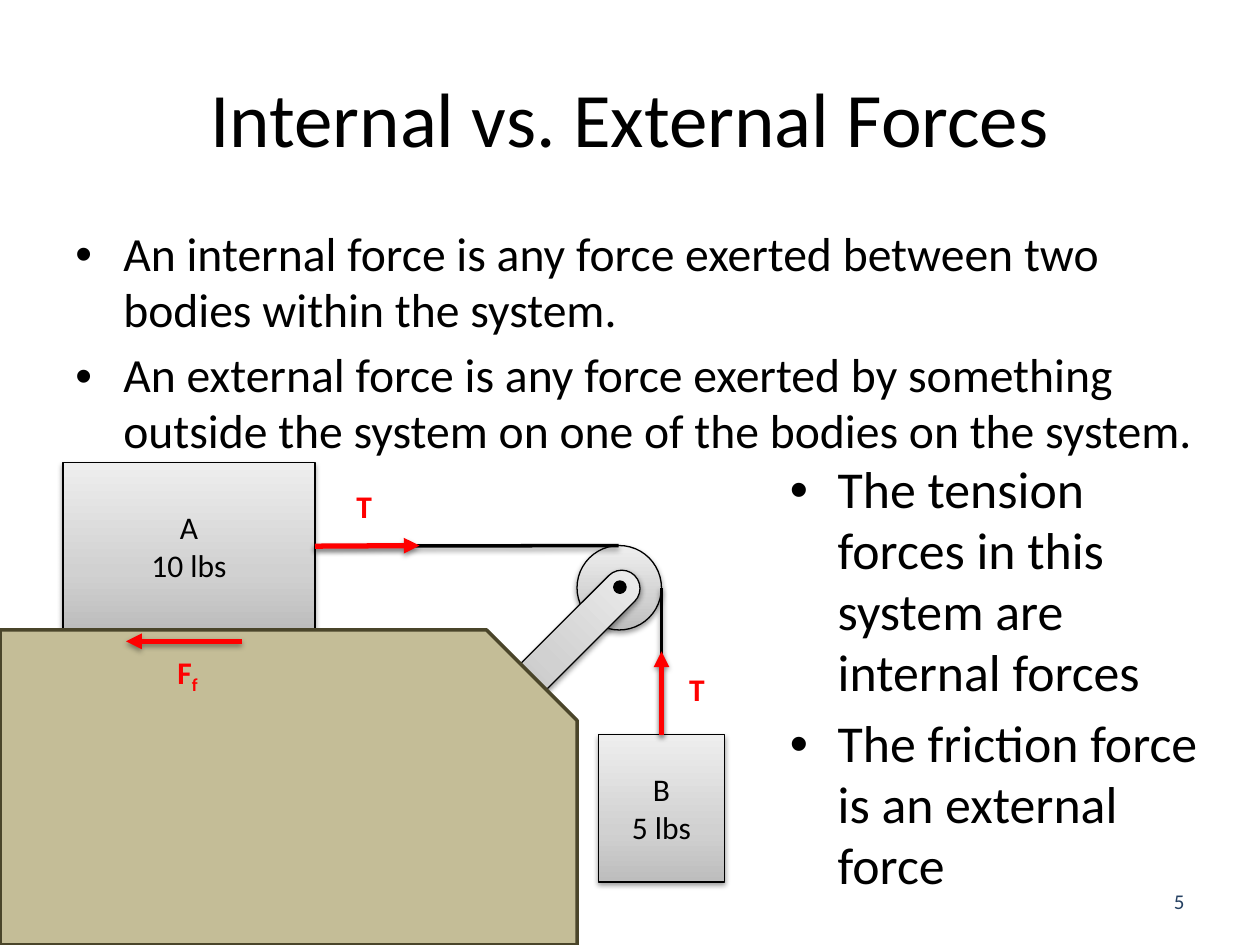
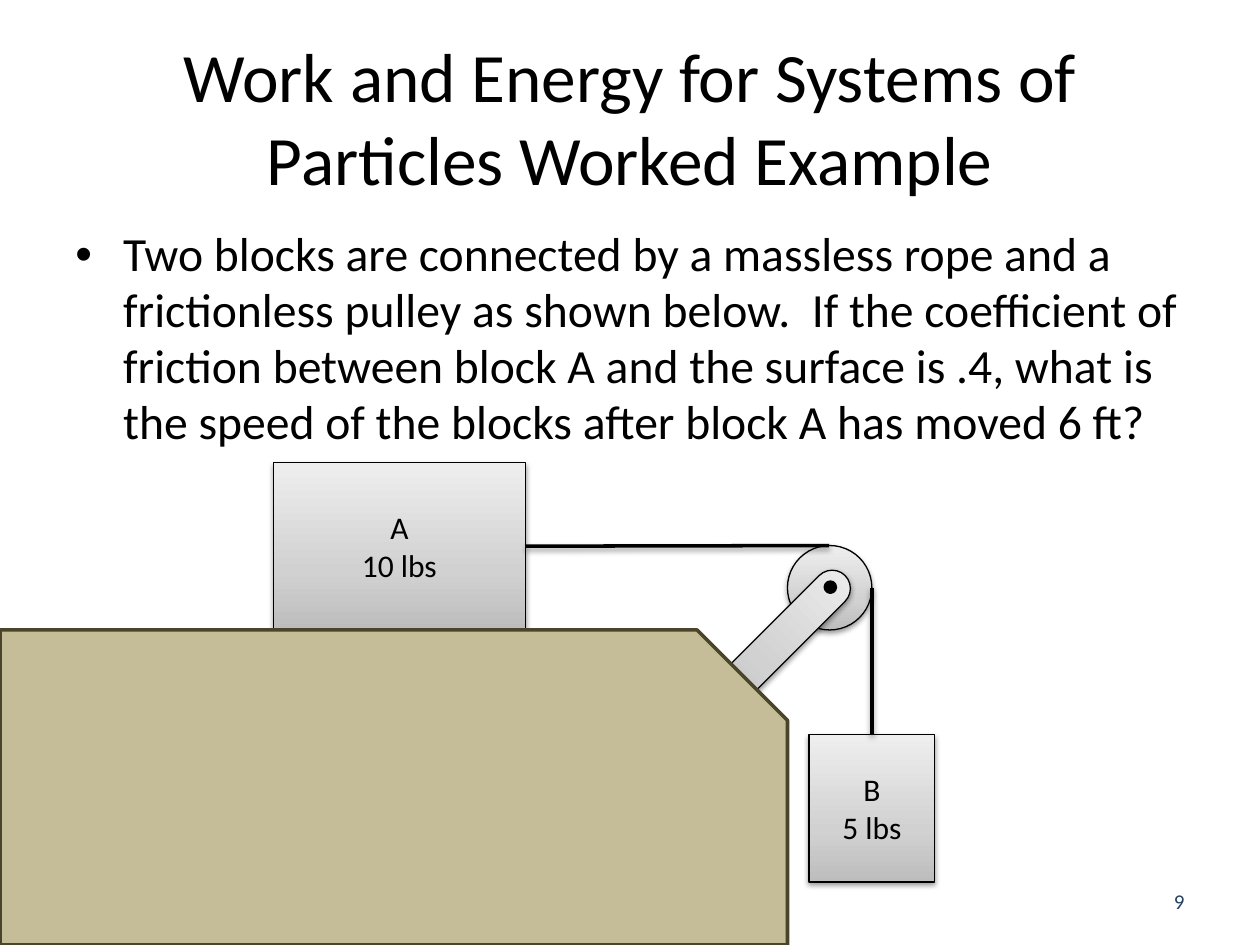
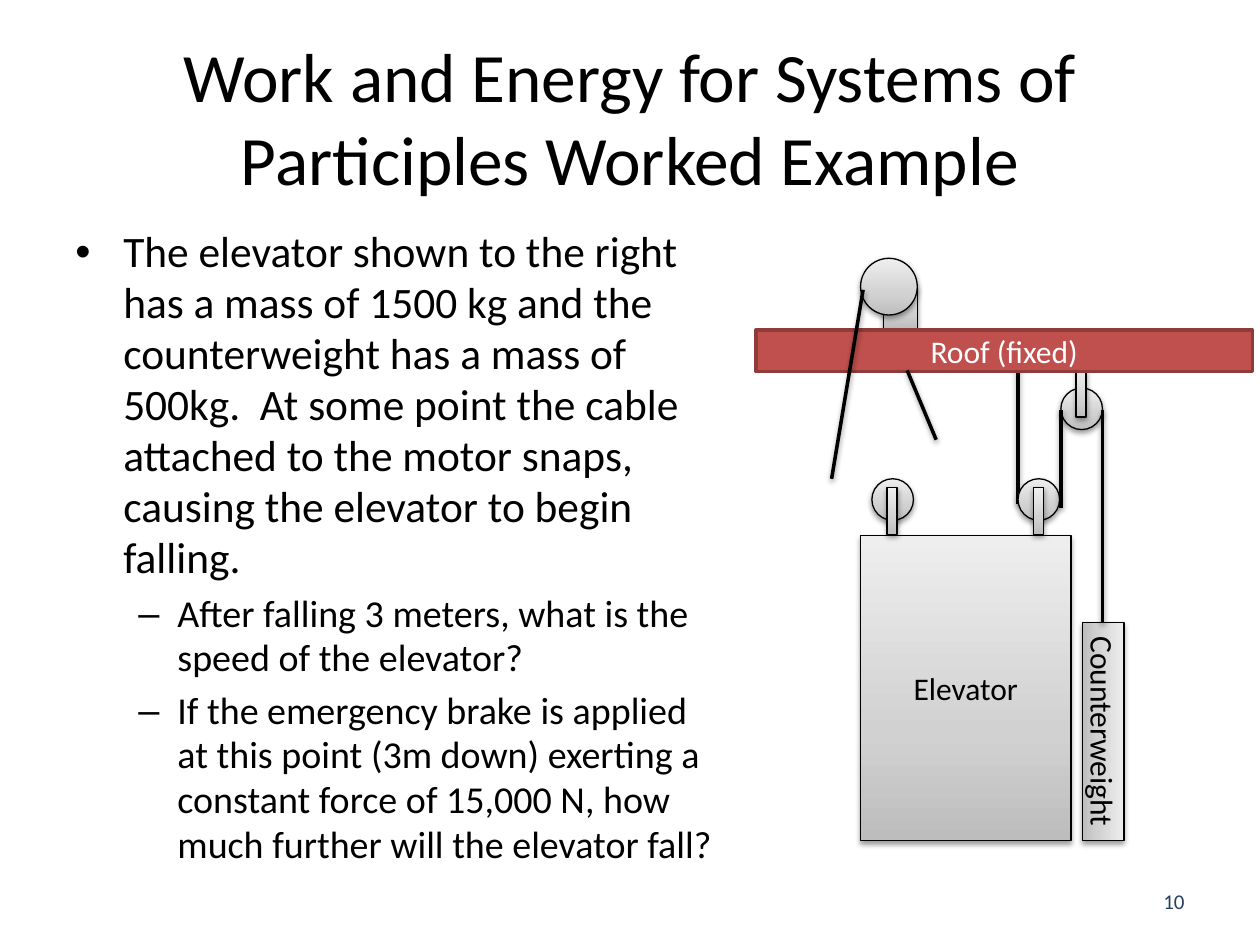
from dataclasses import dataclass
from typing import NamedTuple

from lxml import etree
from pptx import Presentation
from pptx.dml.color import RGBColor
from pptx.enum.shapes import MSO_CONNECTOR, MSO_SHAPE
from pptx.enum.text import MSO_ANCHOR, MSO_AUTO_SIZE, PP_ALIGN
from pptx.oxml.ns import qn
from pptx.util import Inches, Pt

RECTANGLE = MSO_SHAPE.RECTANGLE
ELLIPSE = MSO_SHAPE.OVAL
ROUNDED = MSO_SHAPE.ROUNDED_RECTANGLE
SNIPPED = MSO_SHAPE.SNIP_ROUND_RECTANGLE
STRAIGHT = MSO_CONNECTOR.STRAIGHT
LEFT, CENTER, RIGHT = PP_ALIGN.LEFT, PP_ALIGN.CENTER, PP_ALIGN.RIGHT
TOP, MIDDLE = MSO_ANCHOR.TOP, MSO_ANCHOR.MIDDLE
TOP_SIDE, RIGHT_SIDE = 0, 3


# Theme and element descriptions
@dataclass(frozen=True)
class Theme:
    font: str = "Calibri"
    black: str = "000000"
    white: str = "FFFFFF"
    force: str = "FF0000"
    number: str = "254061"
    ground: str = "C4BD97"
    ground_edge: str = "4A452A"
    roof: str = "C0504D"
    roof_edge: str = "8E3B39"
    metal: tuple = ((0, "BDBDBD"), (35, "D1D1D1"), (100, "EEEEEE"))
    title_size: float = 44
    long_title_size: float = 39.6
    body_size: float = 27.2
    side_size: float = 29.6
    story_size: float = 24.8
    question_size: float = 21.7
    label_size: float = 18
    number_size: float = 12
    thin: float = 0.75
    rope: float = 2
    arrow: float = 3


THEME = Theme()


class Area(NamedTuple):
    left: float
    top: float
    width: float
    height: float


class Point(NamedTuple):
    x: float
    y: float


class Bullet(NamedTuple):
    text: str
    size: float = THEME.body_size
    level: int = 0


class BulletStyle(NamedTuple):
    mark: str
    margin: float
    hanging: float


class Pulley(NamedTuple):
    left: float
    top: float
    hanger_top: float


BULLET_STYLES = (BulletStyle("•", 0.38, 0.38), BulletStyle("–", 0.81, 0.31))
TITLE_AREA = Area(0.5, 0.3, 9, 1.25)
NUMBER_AREA = Area(7.17, 6.95, 2.33, 0.4)


# Text
def add_span(para, text: str, *, size: float, color: str, bold: bool = False,
             subscript: bool = False) -> None:
    span = para.add_run()
    span.text = text
    span.font.name = THEME.font
    span.font.size = Pt(size)
    span.font.bold = bold
    span.font.color.rgb = RGBColor.from_string(color)
    if subscript:
        span.font._element.set("baseline", "-25000")


def write_text(box, text: str, *, size: float = THEME.label_size,
               color: str = THEME.black, bold: bool = False, align=CENTER,
               anchor=MIDDLE, subscript: str = "") -> None:
    frame = box.text_frame
    frame.vertical_anchor = anchor
    for index, line in enumerate(text.split("\n")):
        para = frame.add_paragraph() if index else frame.paragraphs[0]
        para.alignment = align
        add_span(para, line, size=size, color=color, bold=bold)
    if subscript:
        add_span(para, subscript, size=size, color=color, bold=bold, subscript=True)


def add_box(page, area: Area):
    box = page.shapes.add_textbox(*map(Inches, area))
    box.text_frame.word_wrap = True
    return box


def add_bullets(page, area: Area, bullets: list[Bullet]) -> None:
    frame = add_box(page, area).text_frame
    for index, bullet in enumerate(bullets):
        para = frame.add_paragraph() if index else frame.paragraphs[0]
        style = BULLET_STYLES[bullet.level]
        properties = para._p.get_or_add_pPr()
        properties.set("marL", str(Inches(style.margin)))
        properties.set("indent", str(-Inches(style.hanging)))
        etree.SubElement(properties, qn("a:buFont"), typeface="Arial")
        etree.SubElement(properties, qn("a:buChar"), char=style.mark)
        para.level = bullet.level
        para.line_spacing = 0.98
        if index:
            para.space_before = Pt(round(bullet.size * 0.2, 1))
        add_span(para, bullet.text, size=bullet.size, color=THEME.black)


def add_force_label(page, left: float, top: float, text: str,
                    subscript: str = "") -> None:
    box = add_box(page, Area(left, top, 0.37 if subscript else 0.32, 0.4))
    box.text_frame.word_wrap = False
    box.text_frame.auto_size = MSO_AUTO_SIZE.SHAPE_TO_FIT_TEXT
    write_text(box, text, color=THEME.force, bold=True, align=LEFT, anchor=TOP,
               subscript=subscript)


# Shapes and lines
def set_shadow(item, visible: bool) -> None:
    effects = etree.SubElement(item._element.spPr, qn("a:effectLst"))
    if visible:
        shadow = etree.SubElement(
            effects, qn("a:outerShdw"), blurRad=str(Pt(3.1)), dist=str(Pt(1.6)),
            dir="5400000", rotWithShape="0")
        color = etree.SubElement(shadow, qn("a:srgbClr"), val=THEME.black)
        etree.SubElement(color, qn("a:alpha"), val="38000")


def set_line(item, color: str, width: float) -> None:
    item.line.color.rgb = RGBColor.from_string(color)
    item.line.width = Pt(width)


def add_flat(page, kind, area: Area, fill: str, edge: str):
    shape = page.shapes.add_shape(kind, *map(Inches, area))
    shape.fill.solid()
    shape.fill.fore_color.rgb = RGBColor.from_string(fill)
    set_line(shape, edge, THEME.rope)
    set_shadow(shape, False)
    return shape


def add_metal(page, kind, area: Area, text: str = "", rotation: float = 0):
    shape = page.shapes.add_shape(kind, *map(Inches, area))
    shape.rotation = rotation
    shape.fill.gradient()
    shape.fill.gradient_angle = 90
    stops = shape._element.spPr.find(".//" + qn("a:gsLst"))
    for stop in list(stops):
        stops.remove(stop)
    for position, color in THEME.metal:
        stop = etree.SubElement(stops, qn("a:gs"), pos=str(position * 1000))
        etree.SubElement(stop, qn("a:srgbClr"), val=color)
    set_line(shape, THEME.black, THEME.thin)
    set_shadow(shape, True)
    if text:
        write_text(shape, text)
    return shape


def add_rope(page, start: Point, end: Point):
    rope = page.shapes.add_connector(STRAIGHT, *map(Inches, (*start, *end)))
    set_line(rope, THEME.black, THEME.rope)
    set_shadow(rope, True)
    return rope


def add_force(page, start: Point, end: Point):
    arrow = add_rope(page, start, end)
    set_line(arrow, THEME.force, THEME.arrow)
    etree.SubElement(arrow.line._get_or_add_ln(), qn("a:tailEnd"), type="triangle")
    return arrow


# Shared slide parts
def add_page(deck, title: str, number: int, title_size: float):
    page = deck.slides.add_slide(deck.slide_layouts[6])
    write_text(add_box(page, TITLE_AREA), title, size=title_size)
    write_text(add_box(page, NUMBER_AREA), str(number), size=THEME.number_size,
               color=THEME.number, align=RIGHT)
    return page


def draw_blocks(page, edge: float):
    """Draw two roped blocks around a table whose right side is at edge."""
    block_a = add_metal(page, RECTANGLE, Area(edge - 4.08, 3.67, 2, 1.33), "A\n10 lbs")
    block_b = add_metal(page, RECTANGLE, Area(edge + 0.17, 5.83, 1, 1.17), "B\n5 lbs")
    add_metal(page, ELLIPSE, Area(edge, 4.33, 0.67, 0.67))
    rope = add_rope(page, Point(edge + 0.33, 4.33), Point(edge - 2.08, 4.33))
    rope.end_connect(block_a, RIGHT_SIDE)
    rope = add_rope(page, Point(edge + 0.67, 4.67), Point(edge + 0.67, 5.83))
    rope.end_connect(block_b, TOP_SIDE)
    arm = add_metal(page, ROUNDED, Area(edge - 0.19, 4.36, 0.29, 1.42), rotation=45)
    arm.adjustments[0] = 0.5
    add_flat(page, ELLIPSE, Area(edge + 0.3, 4.62, 0.08, 0.08), THEME.black, THEME.black)
    table = add_flat(page, SNIPPED, Area(0, 5, edge, 2.5), THEME.ground,
                     THEME.ground_edge)
    table.adjustments[0] = 0
    table.adjustments[1] = 0.287
    return block_a, block_b


# Slides
def build_forces(deck) -> None:
    page = add_page(deck, "Internal vs. External Forces", 5, THEME.title_size)
    add_bullets(page, Area(0.5, 1.75, 9.08, 1.81), [
        Bullet("An internal force is any force exerted between two bodies "
               "within the system."),
        Bullet("An external force is any force exerted by something outside "
               "the system on one of the bodies on the system."),
    ])
    block_a, block_b = draw_blocks(page, 4.58)
    tension = add_force(page, Point(2.5, 4.33), Point(3.33, 4.33))
    tension.begin_connect(block_a, RIGHT_SIDE)
    add_force(page, Point(1.92, 5.09), Point(1, 5.09))
    tension = add_force(page, Point(5.25, 5.83), Point(5.25, 5.17))
    tension.begin_connect(block_b, TOP_SIDE)
    add_force_label(page, 2.73, 3.82, "T")
    add_force_label(page, 5.37, 5.27, "T")
    add_force_label(page, 1.31, 5.13, "F", subscript="f")
    add_bullets(page, Area(6.17, 3.6, 3.58, 3.4), [
        Bullet("The tension forces in this system are internal forces",
               THEME.side_size),
        Bullet("The friction force is an external force", THEME.side_size),
    ])


def build_block_example(deck) -> None:
    page = add_page(deck, "Work and Energy for Systems of Particles Worked Example",
                    9, THEME.long_title_size)
    add_bullets(page, Area(0.5, 1.75, 9, 2), [
        Bullet("Two blocks are connected by a massless rope and a frictionless "
               "pulley as shown below.  If the coefficient of friction between "
               "block A and the surface is .4, what is the speed of the blocks "
               "after block A has moved 6 ft?"),
    ])
    draw_blocks(page, 6.25)


def build_elevator_example(deck) -> None:
    page = add_page(deck, "Work and Energy for Systems of Participles Worked Example",
                    10, THEME.long_title_size)
    add_bullets(page, Area(0.5, 1.75, 5.25, 4.95), [
        Bullet("The elevator shown to the right has a mass of 1500 kg and the "
               "counterweight has a mass of 500kg.  At some point the cable "
               "attached to the motor snaps, causing the elevator to begin "
               "falling.", THEME.story_size),
        Bullet("After falling 3 meters, what is the speed of the elevator?",
               THEME.question_size, 1),
        Bullet("If the emergency brake is applied at this point (3m down) "
               "exerting a constant force of 15,000 N, how much further will "
               "the elevator fall?", THEME.question_size, 1),
    ])

    # Hanging masses and their pulleys
    add_rope(page, Point(8.08, 2.89), Point(8.08, 4))
    add_metal(page, RECTANGLE, Area(6.83, 4.25, 1.67, 2.42), "Elevator")
    add_metal(page, RECTANGLE, Area(7.89, 5.64, 1.73, 0.33), "Counterweight",
              rotation=90)
    for pulley in (Pulley(6.92, 3.8, 3.87), Pulley(8.08, 3.8, 3.87),
                   Pulley(8.42, 3.08, 2.94)):
        add_metal(page, ELLIPSE, Area(pulley.left, pulley.top, 0.33, 0.33))
        add_metal(page, RECTANGLE,
                  Area(pulley.left + 0.12, pulley.hanger_top, 0.08, 0.37))

    # Motor on the roof
    add_metal(page, RECTANGLE, Area(7.01, 2.27, 0.27, 0.34))
    roof = add_flat(page, RECTANGLE, Area(6, 2.62, 3.94, 0.33), THEME.roof,
                    THEME.roof_edge)
    write_text(roof, "Roof (fixed)", color=THEME.white)
    add_metal(page, ELLIPSE, Area(6.83, 2.05, 0.45, 0.45))

    # Ropes, with the snapped cable last
    for start, end in (
        (Point(8.42, 3.25), Point(8.42, 4.03)),
        (Point(8.75, 3.25), Point(8.75, 4.94)),
        (Point(7.2, 2.94), Point(7.43, 3.49)),
        (Point(6.85, 2.3), Point(6.6, 3.8)),
    ):
        add_rope(page, start, end)


def main() -> None:
    deck = Presentation()
    deck.slide_width = Inches(10)
    deck.slide_height = Inches(7.5)
    build_forces(deck)
    build_block_example(deck)
    build_elevator_example(deck)
    deck.save("out.pptx")


if __name__ == "__main__":
    main()
